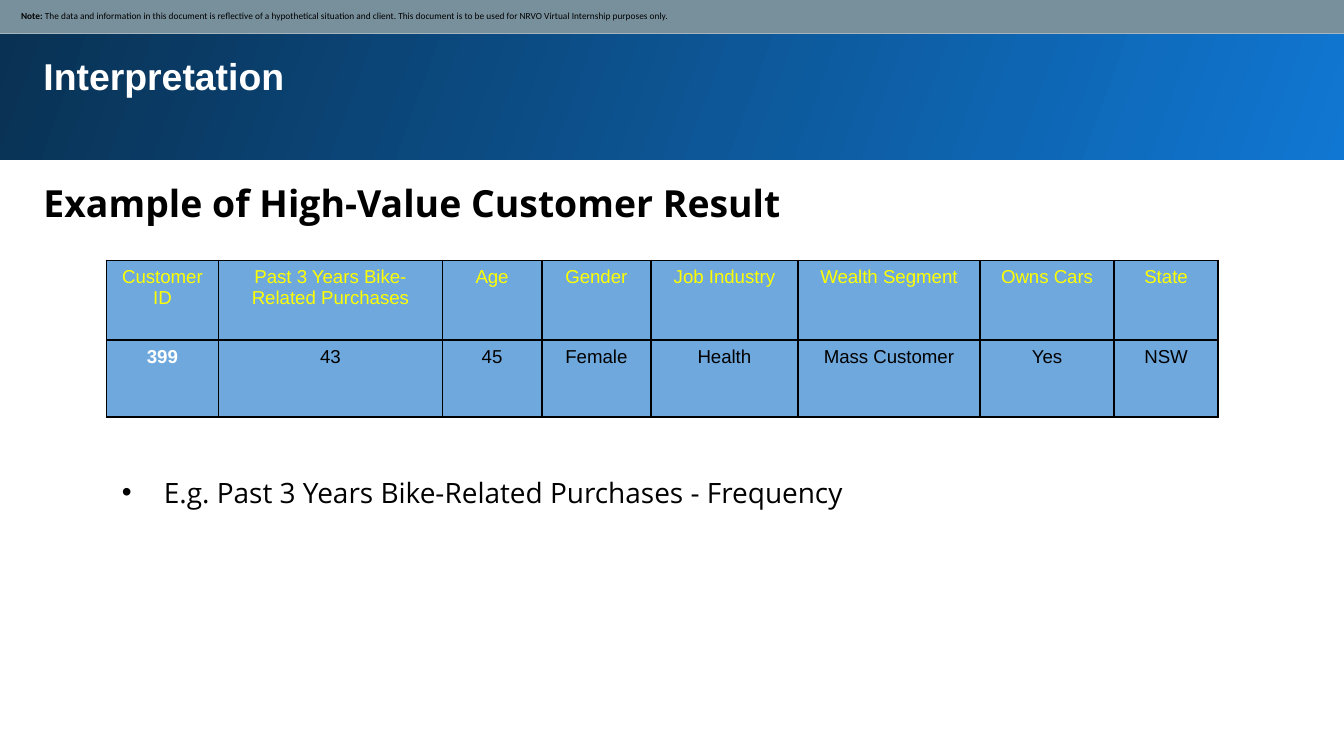
from lxml import etree
from pptx import Presentation
from pptx.dml.color import RGBColor
from pptx.enum.shapes import MSO_SHAPE
from pptx.enum.text import MSO_ANCHOR, PP_ALIGN
from pptx.oxml.ns import qn
from pptx.util import Pt

PX = 9525  # EMU per px, 96 px to the inch
RECTANGLE = MSO_SHAPE.RECTANGLE
TOP, MIDDLE = MSO_ANCHOR.TOP, MSO_ANCHOR.MIDDLE
LEFT, CENTER = PP_ALIGN.LEFT, PP_ALIGN.CENTER

BLACK = RGBColor(0x00, 0x00, 0x00)
WHITE = RGBColor(0xFF, 0xFF, 0xFF)
YELLOW = RGBColor(0xFF, 0xFF, 0x00)
BRIGHT_BLUE = RGBColor(0x10, 0x77, 0xD2)
NAVY = RGBColor(0x09, 0x31, 0x53)
SLATE = RGBColor(0x78, 0x90, 0x9C)
CELL_BLUE = RGBColor(0x6F, 0xA8, 0xDC)

COLUMN_WIDTHS = [80, 160, 71, 78, 105, 130, 96, 74]
ROW_HEIGHTS = [57, 55]
CUSTOMER_ROWS = [
    ["Customer ID", "Past 3 Years Bike-Related Purchases", "Age", "Gender",
     "Job Industry", "Wealth Segment", "Owns Cars", "State"],
    ["399", "43", "45", "Female", "Health", "Mass Customer", "Yes", "NSW"],
]
NOTE = ("The data and information in this document is reflective of a "
        "hypothetical situation and client. This document is to be used for "
        "NRVO Virtual Internship purposes only.")


def px(*lengths):
    return [length * PX for length in lengths]


def set_font(target, name, size, color, bold=False):
    font = target.font
    font.name, font.size, font.bold = name, Pt(size), bold
    font.color.rgb = color


def set_frame(frame, margin, anchor=TOP):
    frame.word_wrap = True
    frame.vertical_anchor = anchor
    frame.margin_left = frame.margin_right = margin * PX
    frame.margin_top = frame.margin_bottom = margin * PX


def add_bar(page, *bounds):
    bar = page.shapes.add_shape(RECTANGLE, *px(*bounds))
    bar.shadow.inherit = False
    bar.line.fill.background()
    return bar


def add_title_band(page, text):
    band = add_bar(page, -2, 25, 965, 89)
    band.fill.gradient()
    band.fill.gradient_angle = 160
    for stop, color in zip(band.fill.gradient_stops, (BRIGHT_BLUE, NAVY)):
        stop.color.rgb = color

    title = page.shapes.title
    band.element.addnext(title.element)  # title in front of the band
    title.left, title.top, title.width, title.height = px(21, 28, 900, 80)
    set_frame(title.text_frame, 10)
    title.text_frame.text = text
    para = title.text_frame.paragraphs[0]
    para.alignment = LEFT
    set_font(para, "Arial", 20, WHITE, True)


def add_text(page, bounds, text, size, bold=False):
    box = page.shapes.add_textbox(*px(*bounds))
    set_frame(box.text_frame, 10)
    para = box.text_frame.paragraphs[0]
    para.text = text
    para.line_spacing = 1.15
    set_font(para, "Open Sans", size, BLACK, bold)
    return para


def add_bullet(para, indent):
    properties = para._p.get_or_add_pPr()
    properties.set("marL", str(indent * PX))
    properties.set("indent", str(-indent * PX))
    # Bullet elements come before the default run properties
    run_defaults = properties.find(qn("a:defRPr"))
    for tag, name, value in (("a:buFont", "typeface", "Arial"),
                             ("a:buChar", "char", "•")):
        bullet = etree.SubElement(properties, qn(tag))
        bullet.set(name, value)
        if run_defaults is not None:
            run_defaults.addprevious(bullet)


def add_note_bar(page):
    bar = add_bar(page, -1, -1, 963, 25)
    bar.fill.solid()
    bar.fill.fore_color.rgb = SLATE
    set_frame(bar.text_frame, 5, MIDDLE)
    bar.text_frame.margin_left = 16 * PX
    para = bar.text_frame.paragraphs[0]
    para.alignment = LEFT
    for text, bold in (("Note: ", True), (NOTE, False)):
        span = para.add_run()
        span.text = text
        set_font(span, "Calibri", 5, BLACK, bold)


def add_borders(cell):
    properties = cell._tc.get_or_add_tcPr()
    for side in ("a:lnL", "a:lnR", "a:lnT", "a:lnB"):
        line = etree.SubElement(properties, qn(side), w=str(Pt(1)))
        fill = etree.SubElement(line, qn("a:solidFill"))
        etree.SubElement(fill, qn("a:srgbClr"), val=str(BLACK))


def add_customer_table(page):
    bounds = px(76, 186, sum(COLUMN_WIDTHS), sum(ROW_HEIGHTS))
    table = page.shapes.add_table(
        len(ROW_HEIGHTS), len(COLUMN_WIDTHS), *bounds).table
    table.first_row = table.horz_banding = False
    for column, width in zip(table.columns, COLUMN_WIDTHS):
        column.width = width * PX
    for row, height in zip(table.rows, ROW_HEIGHTS):
        row.height = height * PX

    for row_index, texts in enumerate(CUSTOMER_ROWS):
        for column_index, text in enumerate(texts):
            cell = table.cell(row_index, column_index)
            add_borders(cell)
            cell.fill.solid()
            cell.fill.fore_color.rgb = CELL_BLUE
            cell.text = text
            para = cell.text_frame.paragraphs[0]
            para.alignment = CENTER
            is_id = row_index == 1 and column_index == 0
            color = YELLOW if row_index == 0 else WHITE if is_id else BLACK
            set_font(para, "Arial", 10, color, is_id)


def main():
    deck = Presentation()
    deck.slide_width, deck.slide_height = px(960, 540)
    page = deck.slides.add_slide(deck.slide_layouts[5])

    # Header
    add_title_band(page, "Interpretation")
    add_text(page, (21, 114, 900, 54),
             "Example of High-Value Customer Result", 20, True)
    add_note_bar(page)

    # Customer example
    add_customer_table(page)
    example = add_text(page, (77, 326, 604, 45),
                       "E.g. Past 3 Years Bike-Related Purchases - Frequency", 15)
    add_bullet(example, 30)

    deck.save("out.pptx")


if __name__ == "__main__":
    main()
